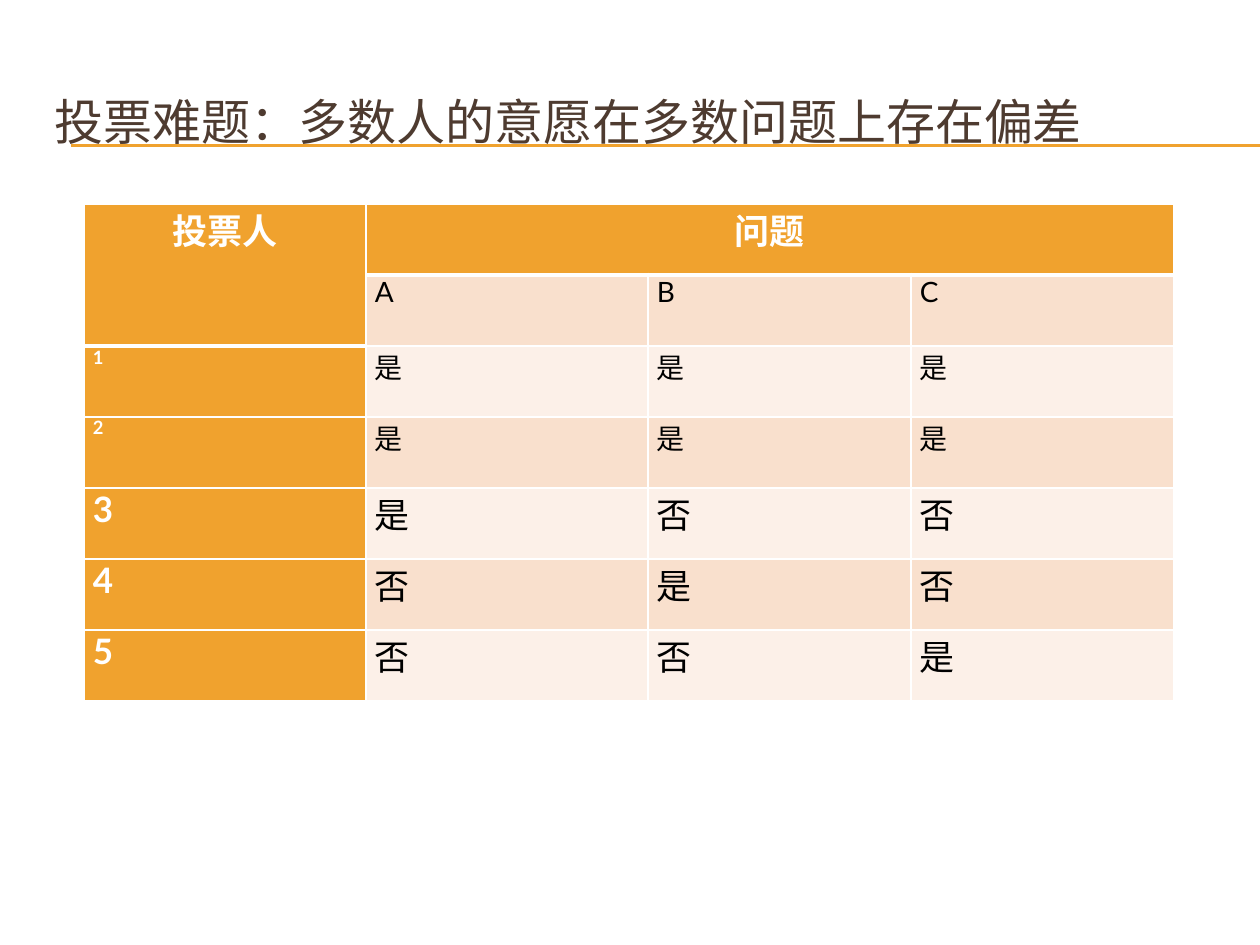
from lxml.etree import SubElement as Sub
from pptx import Presentation
from pptx.dml.color import RGBColor as RGB
from pptx.enum.shapes import MSO_CONNECTOR as LINK
from pptx.enum.text import MSO_ANCHOR as ANCHOR, PP_ALIGN as ALIGN
from pptx.oxml.ns import qn
from pptx.util import Emu, Pt

TITLE = "投票难题：多数人的意愿在多数问题上存在偏差"
ROWS = [
    ("投票人", "问题", "", ""),
    ("", "A", "B", "C"),
    ("1", "是", "是", "是"),
    ("2", "是", "是", "是"),
    ("3", "是", "否", "否"),
    ("4", "否", "是", "否"),
    ("5", "否", "否", "是"),
]
# Sizes are (first column, other columns) for each row.
SIZES = [(20, 20), (20, 16), (10.5, 16), (10.5, 16), (20, 20), (20, 20), (20, 20)]
WIDTHS = [282, 282, 263, 263]
HEIGHT = 71
RULES = [145, 146]

FONT = "Lato"
ORANGE = RGB(0xF0, 0xA2, 0x2E)
PEACH = RGB(0xF9, 0xE0, 0xCD)
CREAM = RGB(0xFC, 0xF0, 0xE8)
BROWN = RGB(0x4E, 0x3B, 0x30)
WHITE = RGB(255, 255, 255)
BLACK = RGB(0, 0, 0)


def px(n):
    """Turn whole pixels into EMU."""
    return Emu(round(n * 914400 / 126))


def write(frame, text, size, color, bold=False, align=ALIGN.LEFT):
    """Put one formatted paragraph into a text frame."""
    par = frame.paragraphs[0]
    par.alignment = align
    run = par.add_run()
    run.text = text
    font = run.font
    font.name, font.size, font.bold = FONT, Pt(size), bold
    font.color.rgb = color


def edge(cell, side, width):
    """Draw one white border of a cell."""
    line = Sub(cell._tc.get_or_add_tcPr(), qn("a:ln" + side), w=str(Pt(width)))
    fill = Sub(line, qn("a:solidFill"))
    Sub(fill, qn("a:srgbClr"), val=str(WHITE))


def style(cell, row, col):
    """Set the margins, borders, fill and text of a cell."""
    cell.margin_left = cell.margin_right = px(9)
    cell.margin_top = cell.margin_bottom = 0
    last = 0 if col else 1
    edge(cell, "L", 1)
    edge(cell, "R", 1)
    edge(cell, "T", 3 if row == last + 1 else 1)
    edge(cell, "B", 3 if row <= last else 1)
    head = row == 0 or col == 0
    cell.fill.solid()
    cell.fill.fore_color.rgb = ORANGE if head else PEACH if row % 2 else CREAM
    text = ROWS[row][col]
    if text:
        write(cell.text_frame, text, SIZES[row][min(col, 1)],
              WHITE if head else BLACK, bold=head,
              align=ALIGN.JUSTIFY if row else ALIGN.CENTER)


def main():
    """Build the voting slide."""
    deck = Presentation()
    deck.slide_width, deck.slide_height = px(1260), px(945)
    slide = deck.slides.add_slide(deck.slide_layouts[6])
    shapes = slide.shapes

    for y in RULES:
        rule = shapes.add_connector(LINK.STRAIGHT, px(71), px(y), px(1260), px(y))
        rule.line.color.rgb = ORANGE
        rule.line.width = Pt(0.75)
        Sub(rule._element.spPr, qn("a:effectLst"))

    frame = shapes.add_textbox(px(42), px(63), px(1197), px(116)).text_frame
    frame.word_wrap = True
    frame.vertical_anchor = ANCHOR.MIDDLE
    write(frame, TITLE, 28, BROWN)

    table = shapes.add_table(len(ROWS), len(WIDTHS), px(84), px(204),
                             px(sum(WIDTHS)), px(HEIGHT * len(ROWS))).table
    for col, width in zip(table.columns, WIDTHS):
        col.width = px(width)
    for row in table.rows:
        row.height = px(HEIGHT)
    table.cell(0, 0).merge(table.cell(1, 0))
    table.cell(0, 1).merge(table.cell(0, 3))
    for row in range(len(ROWS)):
        for col in range(len(WIDTHS)):
            style(table.cell(row, col), row, col)

    deck.save("out.pptx")


if __name__ == "__main__":
    main()
